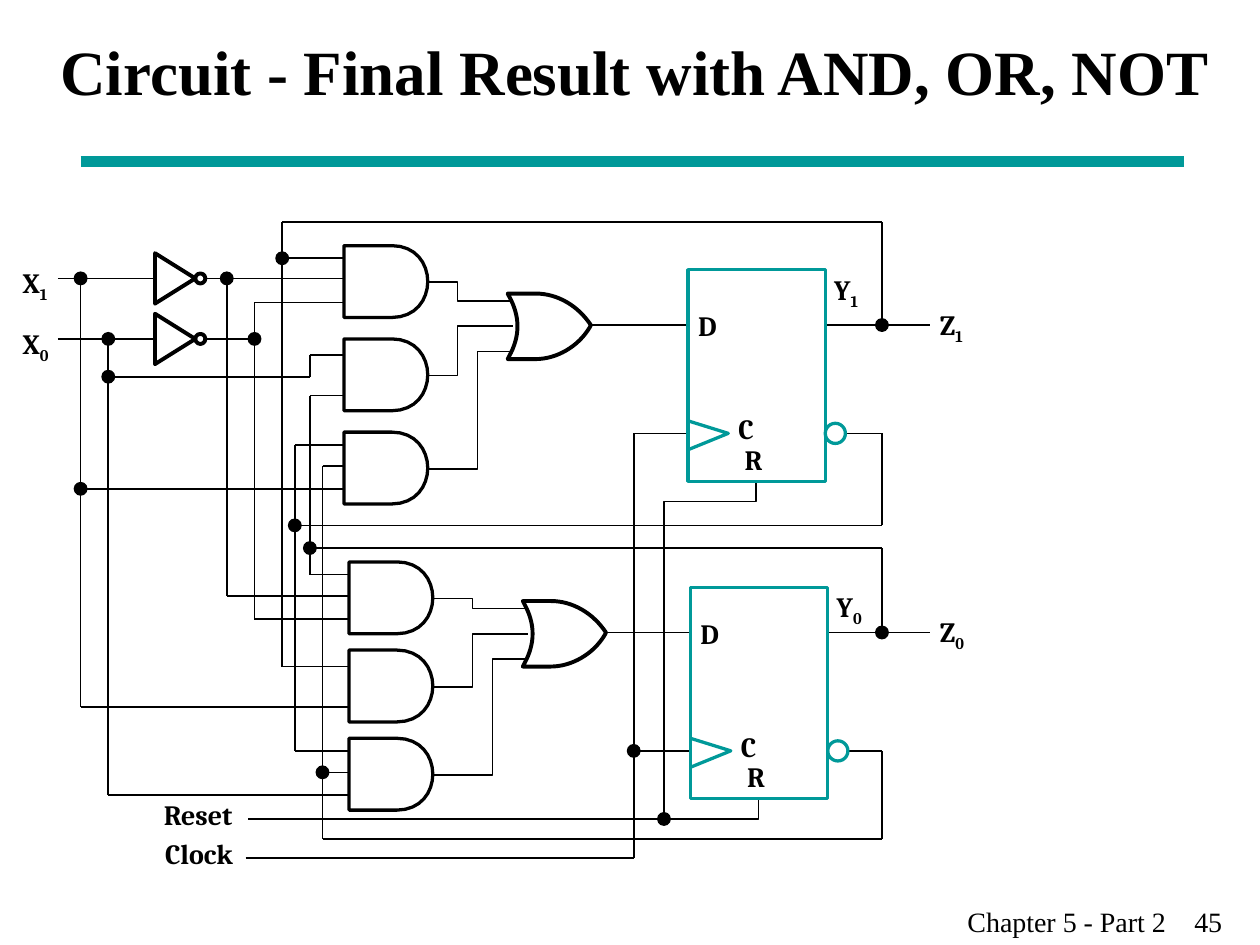
from dataclasses import dataclass

import lxml.etree
import pptx
import pptx.dml.color
import pptx.enum.shapes
import pptx.enum.text
import pptx.oxml.ns
import pptx.util

Shape = pptx.enum.shapes.MSO_SHAPE
RGB = pptx.dml.color.RGBColor
qn = pptx.oxml.ns.qn


@dataclass
class Theme:
    ink: RGB = RGB(0, 0, 0)
    paper: RGB = RGB(255, 255, 255)
    accent: RGB = RGB(0, 153, 153)
    label_font: str = "Cambria"
    title_font: str = "Times New Roman"
    title_size: float = 36
    text_size: float = 16
    wire: float = 1
    outline: float = 1.87
    heavy: float = 2.25
    rule: float = 6


def length(inches):
    return pptx.util.Cm(inches * 2.54)


def bezier(start, first, second, end, steps=16):
    points = []
    for step in range(steps + 1):
        t = step / steps
        weights = ((1 - t) ** 3, 3 * t * (1 - t) ** 2, 3 * t * t * (1 - t), t ** 3)
        corners = (start, first, second, end)
        points.append(tuple(sum(w * c[axis] for w, c in zip(weights, corners)) for axis in (0, 1)))
    return points


AND_OUTLINE = [(0, 0), (0, 0.57)] + bezier((0.38, 0.57), (0.76, 0.57), (0.76, 0), (0.38, 0))
OR_OUTLINE = (
    bezier((0.01, 0.5), (0.1, 0.34), (0.1, 0.18), (0.01, 0.02))
    + [(0, 0)]
    + bezier((0.22, 0), (0.4, 0), (0.56, 0.1), (0.66, 0.25))
    + bezier((0.65, 0.27), (0.56, 0.42), (0.39, 0.52), (0.22, 0.52))
    + [(0, 0.52)]
)


@dataclass
class Gate:
    left: float
    top: float
    outline: list
    input_offsets: tuple
    input_depth: float
    output_offset: float

    def input(self, index):
        return self.left + self.input_depth, self.top + self.input_offsets[index]

    @property
    def output(self):
        return self.left + 0.66, self.top + self.output_offset


def and_gate(left, top, inputs):
    offsets = {2: (0.13, 0.45), 3: (0.1, 0.27, 0.45)}[inputs]
    return Gate(left, top, AND_OUTLINE, offsets, 0, 0.29)


def or_gate(left, top):
    return Gate(left, top, OR_OUTLINE, (0.06, 0.26, 0.46), 0.04, 0.25)


@dataclass
class FlipFlop:
    left: float
    top: float
    data_y: float
    index: str

    def __post_init__(self):
        right, middle = self.left + 1.09, self.top + 1.3
        self.data = self.left, self.data_y
        self.state = right, self.data_y
        self.inverse = right + 0.16, middle
        self.clock = self.left, middle
        self.reset = self.left + 0.54, self.top + 1.68


class CircuitSlide:
    def __init__(self, slide, theme):
        self.shapes = slide.shapes
        self.theme = theme
        self.junctions = []

    def style_font(self, paragraph, name, size, bold):
        paragraph.font.name = name
        paragraph.font.size = pptx.util.Pt(size)
        paragraph.font.bold = bold
        paragraph.font.color.rgb = self.theme.ink

    def style_shape(self, shape, fill, color, width):
        shape.shadow.inherit = False
        if fill is None:
            shape.fill.background()
        else:
            shape.fill.solid()
            shape.fill.fore_color.rgb = fill
        shape.line.color.rgb = color
        shape.line.width = pptx.util.Pt(width)

    def title(self, text, left, top, width, height):
        shape = self.shapes.title
        shape.left, shape.top = length(left), length(top)
        shape.width, shape.height = length(width), length(height)
        frame = shape.text_frame
        frame.text = text
        frame.auto_size = pptx.enum.text.MSO_AUTO_SIZE.NONE
        frame.vertical_anchor = pptx.enum.text.MSO_ANCHOR.MIDDLE
        frame.paragraphs[0].alignment = pptx.enum.text.PP_ALIGN.LEFT
        self.style_font(frame.paragraphs[0], self.theme.title_font, self.theme.title_size, True)

    def footer(self, text, left, top, width, height, tab):
        box = self.shapes.add_textbox(*map(length, (left, top, width, height)))
        box.text_frame.word_wrap = True
        paragraph = box.text_frame.paragraphs[0]
        paragraph.text = text
        tabs = lxml.etree.SubElement(paragraph._p.get_or_add_pPr(), qn("a:tabLst"))
        lxml.etree.SubElement(tabs, qn("a:tab"), pos=str(length(tab)), algn="l")
        self.style_font(paragraph, self.theme.title_font, self.theme.text_size, False)

    def label(self, text, left, top, subscript="", width=0.23):
        box = self.shapes.add_textbox(*map(length, (left, top, width, 0.3 if subscript else 0.27)))
        frame = box.text_frame
        frame.word_wrap = False
        frame.auto_size = pptx.enum.text.MSO_AUTO_SIZE.SHAPE_TO_FIT_TEXT
        frame.margin_left = frame.margin_right = frame.margin_top = frame.margin_bottom = 0
        paragraph = frame.paragraphs[0]
        paragraph.add_run().text = text
        if subscript:
            run = paragraph.add_run()
            run.text = subscript
            run._r.get_or_add_rPr().set("baseline", "-25000")
        self.style_font(paragraph, self.theme.label_font, self.theme.text_size, True)

    def line(self, start, end, color, width):
        straight = pptx.enum.shapes.MSO_CONNECTOR.STRAIGHT
        connector = self.shapes.add_connector(straight, *map(length, (*start, *end)))
        connector.line.color.rgb = color
        connector.line.width = pptx.util.Pt(width)
        lxml.etree.SubElement(connector._element.spPr, qn("a:effectLst"))

    def wire(self, *points):
        for start, end in zip(points, points[1:]):
            self.line(start, end, self.theme.ink, self.theme.wire)

    def outline(self, points, fill, color, width, close=False, left=0, top=0):
        placed = [(length(left + x), length(top + y)) for x, y in points]
        builder = self.shapes.build_freeform(*placed[0])
        builder.add_line_segments(placed[1:], close=close)
        self.style_shape(builder.convert_to_shape(), fill, color, width)

    def bent_wire(self, *points):
        self.outline(points, None, self.theme.ink, self.theme.wire)

    def preset(self, kind, left, top, width, height, fill, color, weight, rotation=0):
        shape = self.shapes.add_shape(kind, *map(length, (left, top, width, height)))
        shape.rotation = rotation
        self.style_shape(shape, fill, color, weight)

    def rail(self, x, source_y, inputs, source_is_junction=False):
        for pin in inputs:
            self.wire((x, pin[1]), pin)
        joints = {source_y, *(y for _, y in inputs)}
        ends = min(joints), max(joints)
        self.wire((x, ends[0]), (x, ends[1]))
        self.junctions += [(x, y) for y in joints if y not in ends]
        if source_is_junction and source_y in ends:
            self.junctions.append((x, source_y))

    def draw_junctions(self):
        for x, y in self.junctions:
            self.preset(Shape.OVAL, x - 0.05, y - 0.05, 0.1, 0.1, self.theme.ink, self.theme.ink, 0)

    def gate(self, gate, width):
        self.outline(gate.outline, self.theme.paper, self.theme.ink, width, True, gate.left, gate.top)

    def inverter(self, left, y):
        ink, heavy = self.theme.ink, self.theme.heavy
        self.preset(Shape.ISOSCELES_TRIANGLE, left - 0.04, y - 0.16, 0.4, 0.32, None, ink, heavy, 90)
        self.preset(Shape.OVAL, left + 0.32, y - 0.04, 0.08, 0.08, None, ink, heavy)

    def flip_flop(self, flip_flop):
        left, top = flip_flop.left, flip_flop.top
        style = (self.theme.paper, self.theme.accent, self.theme.outline)
        self.preset(Shape.RECTANGLE, left, top, 1.09, 1.68, *style)
        self.preset(Shape.OVAL, left + 1.09, top + 1.22, 0.16, 0.16, *style)
        self.outline([(0, 1.2), (0.32, 1.3), (0, 1.43)], None, *style[1:], left=left, top=top)
        self.label("D", left + 0.08, flip_flop.data_y - 0.13, width=0.17)
        self.label("C", left + 0.4, top + 1.13, width=0.15)
        self.label("R", left + 0.45, top + 1.37, width=0.16)
        self.label("Y", left + 1.16, top + 0.02, flip_flop.index)


def draw_circuit(circuit):
    upper_ands = [and_gate(2.73, 1.95 + 0.74 * row, count) for row, count in enumerate((3, 2, 3))]
    lower_ands = [and_gate(2.77, 4.46 + 0.7 * row, count) for row, count in enumerate((3, 2, 3))]
    upper_or, lower_or = or_gate(4.03, 2.33), or_gate(4.15, 4.77)
    upper_store = FlipFlop(5.46, 2.14, upper_or.output[1], "1")
    lower_store = FlipFlop(5.48, 4.66, lower_or.output[1], "0")
    stages = ((upper_ands, upper_or, upper_store), (lower_ands, lower_or, lower_store))
    a, b, c = upper_ands
    d, e, f = lower_ands

    x1_y, x0_y = 2.21, 2.69
    x1, x0, not_x1, not_x0 = 0.64, 0.86, 1.8, 2.02
    y1, not_y1, y0, not_y0 = 2.24, 2.34, 2.46, 2.56
    y1_channel, not_y1_channel, y0_channel, not_y0_channel = 1.76, 4.17, 4.35, 6.66
    inverter_left, inverter_right = 1.23, 1.63
    feedback, terminal = 7, 7.38

    for y, index in ((x1_y, "1"), (x0_y, "0")):
        circuit.label("X", 0.18, y - 0.1, index)
        circuit.wire((0.46, y), (inverter_left, y))
        circuit.inverter(inverter_left, y)
    circuit.wire((inverter_right, x1_y), (a.left, x1_y))
    circuit.wire((inverter_right, x0_y), (not_x0, x0_y))

    jog_y = 2.99
    circuit.wire((y0, jog_y), (y0, b.input(0)[1]), b.input(0))
    circuit.rail(x1, x1_y, [c.input(2), e.input(1)], True)
    circuit.rail(x0, x0_y, [(y0, jog_y), f.input(2)], True)
    circuit.rail(not_x1, x1_y, [d.input(1)], True)
    circuit.rail(not_x0, x0_y, [a.input(2), d.input(2)])
    circuit.rail(y1, y1_channel, [a.input(0), e.input(0)])
    circuit.rail(not_y1, not_y1_channel, [c.input(0), f.input(0)])
    circuit.rail(y0, y0_channel, [b.input(1), d.input(0)])
    circuit.rail(not_y0, not_y0_channel, [c.input(1), f.input(1)])

    for pin, channel, rail_x in (
        (upper_store.state, y1_channel, y1),
        (upper_store.inverse, not_y1_channel, not_y1),
        (lower_store.state, y0_channel, y0),
        (lower_store.inverse, not_y0_channel, not_y0),
    ):
        circuit.wire(pin, (feedback, pin[1]), (feedback, channel), (rail_x, channel))

    for and_gates, sum_gate, store in stages:
        for index, (gate, gap) in enumerate(zip(and_gates, (0.4, 0.4, 0.24))):
            start, end, bend = gate.output, sum_gate.input(index), sum_gate.left - gap
            circuit.bent_wire(start, (bend, start[1]), (bend, end[1]), end)
        circuit.wire(sum_gate.output, store.data)
        circuit.wire((feedback, store.data_y), (terminal, store.data_y))
        circuit.junctions.append((feedback, store.data_y))
        circuit.label("Z", terminal + 0.08, store.data_y - 0.14, store.index)

    reset_x, reset_y, reset_branch = 5.27, 6.5, 3.98
    clock_x, clock_y = 5.03, 6.81
    upper_reset, lower_reset = upper_store.reset, lower_store.reset
    circuit.label("Reset", 1.3, reset_y - 0.17, width=0.61)
    circuit.bent_wire((1.97, reset_y), (lower_reset[0], reset_y), lower_reset)
    circuit.bent_wire((reset_x, reset_y), (reset_x, reset_branch), (upper_reset[0], reset_branch), upper_reset)
    circuit.label("Clock", 1.31, clock_y - 0.17, width=0.62)
    circuit.wire((1.95, clock_y), (clock_x, clock_y))
    circuit.rail(clock_x, clock_y, [upper_store.clock, lower_store.clock])
    circuit.junctions.append((reset_x, reset_y))

    for and_gates, sum_gate, store in stages:
        circuit.flip_flop(store)
        for gate in and_gates:
            circuit.gate(gate, circuit.theme.outline)
        circuit.gate(sum_gate, circuit.theme.heavy)
    circuit.draw_junctions()


def main():
    presentation = pptx.Presentation()
    presentation.slide_width, presentation.slide_height = length(10), length(7.5)
    theme = Theme()
    circuit = CircuitSlide(presentation.slides.add_slide(presentation.slide_layouts[5]), theme)
    circuit.line((0.64, 1.28), (9.4, 1.28), theme.accent, theme.rule)
    circuit.footer("Chapter 5 - Part 2\t45", 7.58, 7.13, 2.42, 0.37, 1.8)
    circuit.title("Circuit - Final Result with AND, OR, NOT", 0.38, 0, 9.62, 1.12)
    draw_circuit(circuit)
    presentation.save("out.pptx")


if __name__ == "__main__":
    main()
